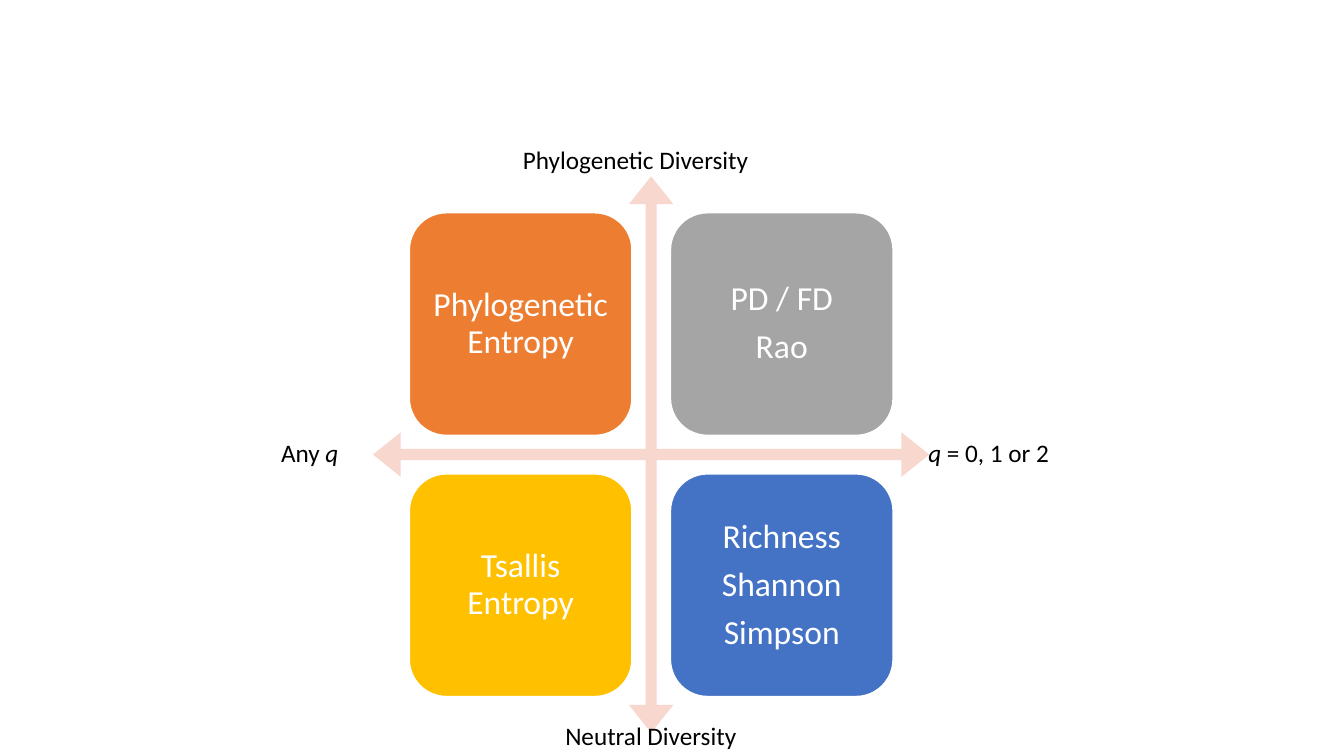
from pptx import Presentation
from pptx.dml.color import RGBColor
from pptx.enum.shapes import MSO_SHAPE
from pptx.enum.text import MSO_ANCHOR, MSO_AUTO_SIZE, PP_ALIGN
from pptx.util import Pt

COLORS = {
    "arrow": "F8D7CE",
    "orange": "ED7D31",
    "gray": "A5A5A5",
    "gold": "FFC000",
    "blue": "4472C4",
    "white": "FFFFFF",
    "black": "000000",
}
FONT = "Calibri"
ARROW_LEFT, ARROW_TOP, ARROW_SIZE = 266.4, 126, 397.4
BOX_SIZE, BOX_STEP, BOX_INSET = 159, 186.5, 26
BOX_ROWS = [
    [("orange", ["Phylogenetic Entropy"]), ("gray", ["PD / FD", "Rao"])],
    [("gold", ["Tsallis Entropy"]), ("blue", ["Richness", "Shannon", "Simpson"])],
]
LABELS = [
    (193.7, 309, 88, [("Any", False), (" q", True)]),
    (656, 309, 113, [("q", True), (" = 0, 1 or 2", False)]),
    (366.5, 99.4, 199, [("Phylogenetic Diversity", False)]),
    (396.7, 511.2, 138, [("Neutral Diversity", False)]),
]


def rgb(name):
    return RGBColor.from_string(COLORS[name])


def format_run(run, size, color, italic=False):
    run.font.name = FONT
    run.font.size = Pt(size)
    run.font.color.rgb = rgb(color)
    run.font.italic = italic


def add_filled_shape(slide, preset, left, top, size, color):
    shape = slide.shapes.add_shape(preset, Pt(left), Pt(top), Pt(size), Pt(size))
    shape.shadow.inherit = False
    shape.fill.solid()
    shape.fill.fore_color.rgb = rgb(color)
    return shape


def add_axes(slide):
    axes = add_filled_shape(
        slide, MSO_SHAPE.QUAD_ARROW, ARROW_LEFT, ARROW_TOP, ARROW_SIZE, "arrow"
    )
    axes.line.fill.background()
    for index, value in enumerate((0.02, 0.04, 0.05)):
        axes.adjustments[index] = value


def add_box(slide, row, column, color, lines):
    left = ARROW_LEFT + BOX_INSET + column * BOX_STEP
    top = ARROW_TOP + BOX_INSET + row * BOX_STEP
    box = add_filled_shape(
        slide, MSO_SHAPE.ROUNDED_RECTANGLE, left, top, BOX_SIZE, color
    )
    box.line.color.rgb = rgb("white")
    box.line.width = Pt(1)
    text_frame = box.text_frame
    text_frame.margin_left = text_frame.margin_right = Pt(7)
    text_frame.margin_top = text_frame.margin_bottom = Pt(7)
    text_frame.vertical_anchor = MSO_ANCHOR.MIDDLE
    text_frame.word_wrap = True
    text_frame.text = "\n".join(lines)
    for paragraph in text_frame.paragraphs:
        paragraph.alignment = PP_ALIGN.CENTER
        paragraph.line_spacing = 0.9
        paragraph.space_after = Pt(8.4)
        format_run(paragraph.runs[0], 24, "white")


def add_label(slide, left, top, width, parts):
    label = slide.shapes.add_textbox(Pt(left), Pt(top), Pt(width), Pt(29))
    text_frame = label.text_frame
    text_frame.word_wrap = True
    text_frame.auto_size = MSO_AUTO_SIZE.SHAPE_TO_FIT_TEXT
    for text, italic in parts:
        run = text_frame.paragraphs[0].add_run()
        run.text = text
        format_run(run, 18, "black", italic)


def main():
    presentation = Presentation()
    presentation.slide_width = Pt(960)
    presentation.slide_height = Pt(540)
    slide = presentation.slides.add_slide(presentation.slide_layouts[6])
    add_axes(slide)
    for row, boxes in enumerate(BOX_ROWS):
        for column, (color, lines) in enumerate(boxes):
            add_box(slide, row, column, color, lines)
    for left, top, width, parts in LABELS:
        add_label(slide, left, top, width, parts)
    presentation.save("out.pptx")


if __name__ == "__main__":
    main()
